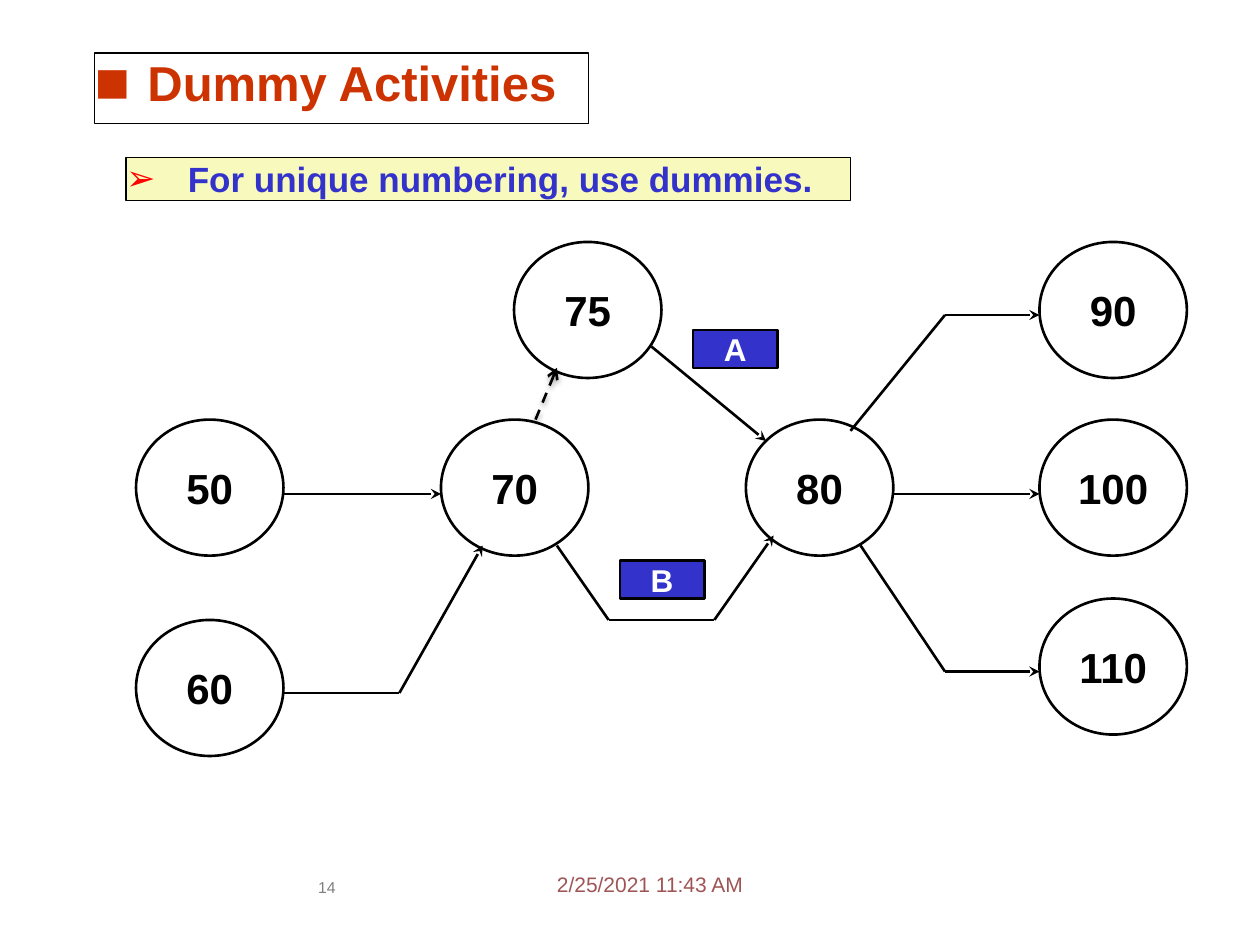
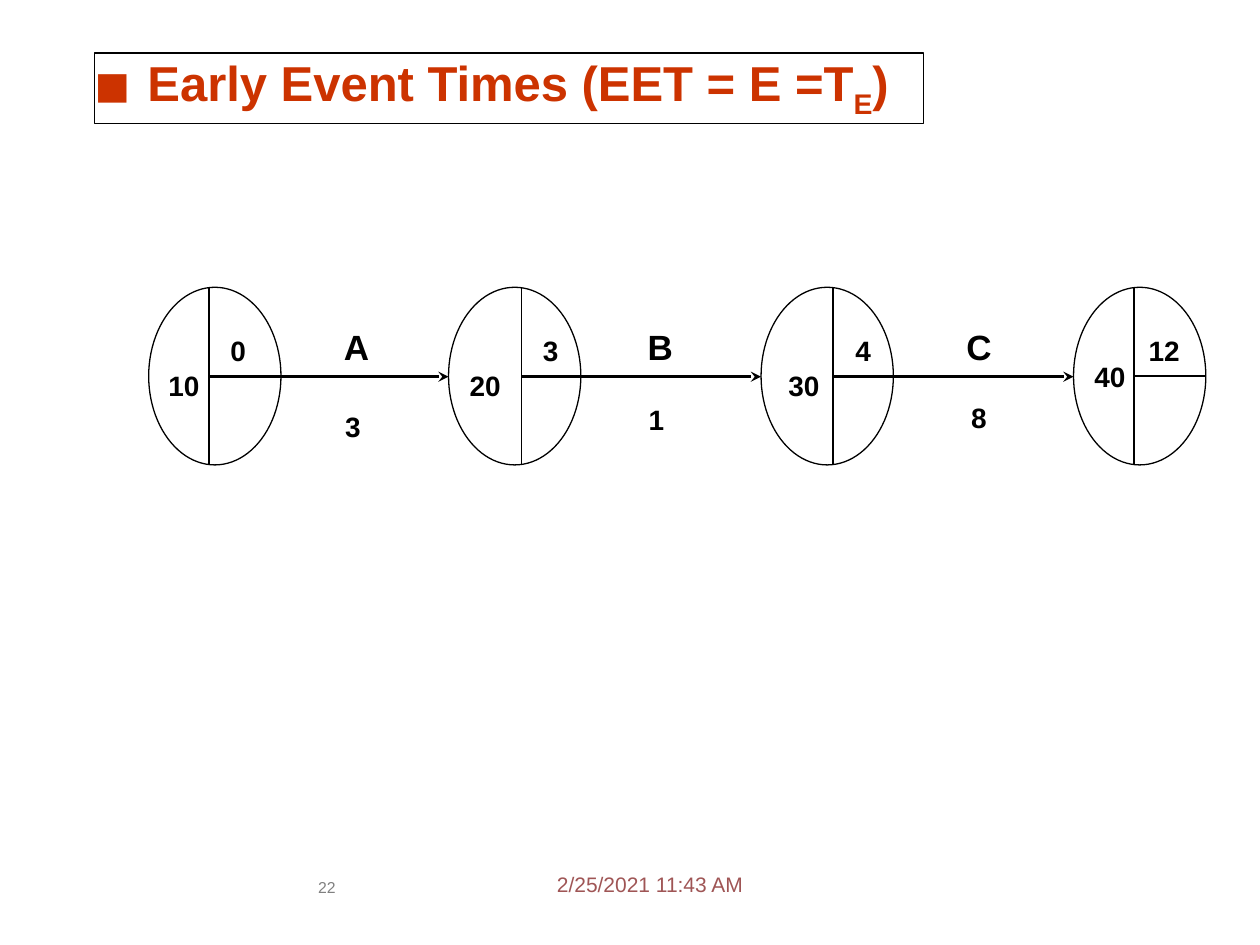
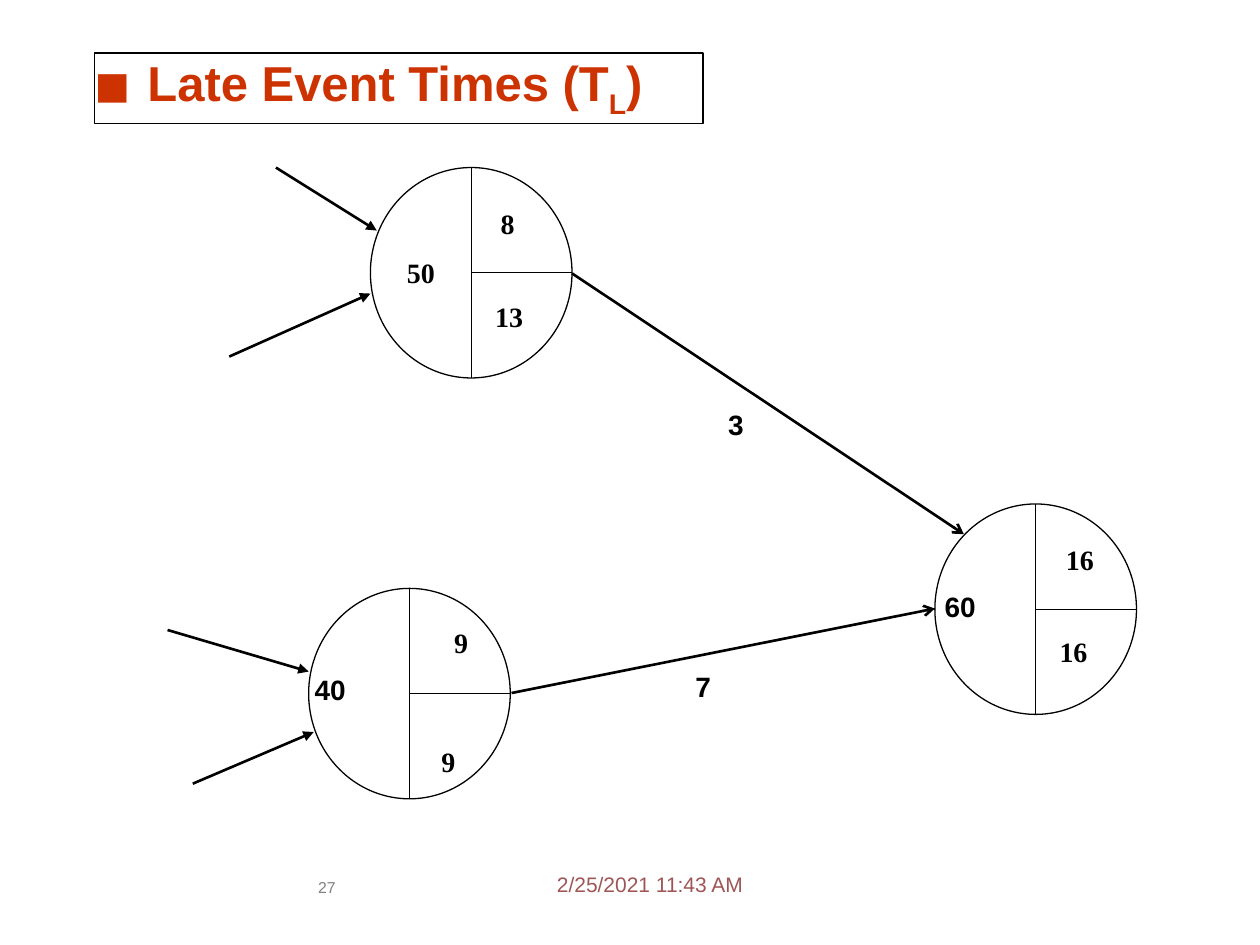
from dataclasses import dataclass
from itertools import pairwise

from lxml import etree
from pptx import Presentation
from pptx.dml.color import RGBColor
from pptx.enum import dml, shapes, text
from pptx.oxml import ns
from pptx.util import Inches, Pt

BLACK = RGBColor(0x00, 0x00, 0x00)
WHITE = RGBColor(0xFF, 0xFF, 0xFF)
RUST = RGBColor(0xCC, 0x33, 0x00)
BLUE = RGBColor(0x33, 0x33, 0xCC)
RED = RGBColor(0xFF, 0x00, 0x00)
CREAM = RGBColor(0xF8, 0xF9, 0xBD)
ROSE = RGBColor(0x9F, 0x55, 0x55)
GREY = RGBColor(0x80, 0x80, 0x80)
SANS, SERIF = "Arial", "Times New Roman"
STAMP = "2/25/2021 11:43 AM"
Point = tuple[float, float]


@dataclass
class Box:
    left: float
    top: float
    width: float
    height: float

    def emu(self) -> list[int]:
        return [Inches(v) for v in (self.left, self.top, self.width, self.height)]


@dataclass
class Label:
    """Bold text centred on a point."""
    x: float
    y: float
    text: str
    size: int = 16
    face: str = SANS


@dataclass
class Event:
    """Oval split by an upright bar and a line to its right edge."""
    box: Box
    bar: float
    weight: float


@dataclass
class Route:
    """Chain of lines whose last one may carry an arrowhead."""
    points: list[Point]
    head: str = "stealth"
    weight: float = 1.5
    dashed: bool = False


def child(parent, tag: str, **attrs: str):
    node = etree.SubElement(parent, ns.qn(tag))
    for name, value in attrs.items():
        node.set(name, value)
    return node


def style(para, size: int, color: RGBColor, bold: bool = True, face: str = SANS) -> None:
    font = para.font
    font.size, font.bold, font.name = Pt(size), bold, face
    font.color.rgb = color


def trim(frame, anchor=text.MSO_ANCHOR.TOP, wrap: bool = True) -> None:
    """Drop margins and fitting from a text frame."""
    frame.margin_left = frame.margin_right = frame.margin_top = frame.margin_bottom = 0
    frame.auto_size = text.MSO_AUTO_SIZE.NONE
    frame.vertical_anchor, frame.word_wrap = anchor, wrap


def paint(shape, fill: RGBColor, weight: float) -> None:
    shape.fill.solid()
    shape.fill.fore_color.rgb = fill
    shape.line.color.rgb = BLACK
    shape.line.width = Pt(weight)


def bullet(para, char: str, color: RGBColor, indent: float, scale: int = 100) -> None:
    para.space_before = Pt(0)
    para.alignment = text.PP_ALIGN.LEFT
    props = para._p.get_or_add_pPr()
    props.set("marL", str(Inches(indent)))
    props.set("indent", str(-Inches(indent)))
    child(child(props, "a:buClr"), "a:srgbClr", val=str(color))
    child(props, "a:buSzPct", val=str(scale * 1000))
    child(props, "a:buFont", typeface=SANS)
    child(props, "a:buChar", char=char)


def hold(shape, box: Box, fill: RGBColor):
    """Place and frame a placeholder, returning its paragraph."""
    shape.left, shape.top, shape.width, shape.height = box.emu()
    paint(shape, fill, 0.75)
    trim(shape.text_frame)
    return shape.text_frame.paragraphs[0]


def note(slide, box: Box, words: str, size: int, color: RGBColor, align) -> None:
    frame = slide.shapes.add_textbox(*box.emu()).text_frame
    trim(frame)
    para = frame.paragraphs[0]
    para.text, para.alignment = words, align
    style(para, size, color, bold=False)


def start(deck, layout: int, number: int, width: float, *parts: str):
    """Add a slide with heading and footers; every second part is a subscript."""
    slide = deck.slides.add_slide(deck.slide_layouts[layout])
    para = hold(slide.shapes.title, Box(0.75, 0.42, width, 0.56), WHITE)
    bullet(para, "■", RUST, 0.42, 120)
    style(para, 28, RUST)
    for i, part in enumerate(parts):
        run = para.add_run()
        run.text = part
        if i % 2:
            run._r.get_or_add_rPr().set("baseline", "-25000")
    note(slide, Box(4.42, 6.92, 1.67, 0.25), STAMP, 12, ROSE, text.PP_ALIGN.LEFT)
    note(slide, Box(2.4, 6.97, 0.39, 0.34), str(number), 9, GREY, text.PP_ALIGN.CENTER)
    return slide


def block(slide, kind, box: Box, words: str = "", size: int = 24, fill: RGBColor = WHITE,
          ink: RGBColor = BLACK, weight: float = 1.5) -> None:
    shape = slide.shapes.add_shape(kind, *box.emu())
    shape.shadow.inherit = False
    paint(shape, fill, weight)
    trim(shape.text_frame, text.MSO_ANCHOR.MIDDLE, wrap=False)
    if words:
        para = shape.text_frame.paragraphs[0]
        para.text, para.alignment = words, text.PP_ALIGN.CENTER
        style(para, size, ink)


def write(slide, label: Label) -> None:
    box = Box(label.x - 0.25, label.y - 0.17, 0.5, 0.34)
    frame = slide.shapes.add_textbox(*box.emu()).text_frame
    trim(frame, text.MSO_ANCHOR.MIDDLE, wrap=False)
    para = frame.paragraphs[0]
    para.text, para.alignment = label.text, text.PP_ALIGN.CENTER
    style(para, label.size, BLACK, face=label.face)


def draw(slide, route: Route) -> None:
    pairs = list(pairwise(route.points))
    for i, (begin, end) in enumerate(pairs):
        line = slide.shapes.add_connector(
            shapes.MSO_CONNECTOR.STRAIGHT, *[Inches(v) for v in begin + end])
        line.line.color.rgb = BLACK
        line.line.width = Pt(route.weight)
        if route.dashed:
            line.line.dash_style = dml.MSO_LINE.DASH
        if route.head and i == len(pairs) - 1:
            child(line.line._get_or_add_ln(), "a:tailEnd", type=route.head)
        effects = child(line._element.spPr, "a:effectLst")
        if route.dashed:
            cast = child(effects, "a:outerShdw", blurRad=str(Pt(3.1)), dist=str(Pt(1.8)),
                         dir="5400000", rotWithShape="0")
            child(child(cast, "a:srgbClr", val="000000"), "a:alpha", val="35000")


def split(slide, event: Event) -> None:
    box, bar = event.box, event.bar
    block(slide, shapes.MSO_SHAPE.OVAL, box, weight=0.75)
    mid = box.top + box.height / 2
    draw(slide, Route([(bar, box.top), (bar, box.top + box.height)], "", event.weight))
    draw(slide, Route([(bar, mid), (box.left + box.width, mid)], "", event.weight))


def dummy(deck) -> None:
    slide = start(deck, 1, 14, 3.92, "Dummy Activities")
    para = hold(slide.placeholders[1], Box(1, 1.25, 5.75, 0.34), CREAM)
    para.text = "For unique numbering, use dummies."
    bullet(para, "➢", RED, 0.49)
    style(para, 20, BLUE)

    nodes = [(8.25, 1.92, "90"), (8.25, 3.33, "100"), (8.25, 4.75, "110"),
             (1.08, 3.33, "50"), (3.5, 3.33, "70"), (1.08, 4.92, "60"),
             (5.92, 3.33, "80"), (4.08, 1.92, "75")]
    for left, top, name in nodes:
        block(slide, shapes.MSO_SHAPE.OVAL, Box(left, top, 1.17, 1.08), name)
    routes = [
        Route([(2.25, 3.92), (3.5, 3.92)]),
        Route([(2.25, 5.5), (3.17, 5.5), (3.83, 4.33)]),
        Route([(4.25, 3.33), (4.42, 2.92)], "arrow", dashed=True),
        Route([(5.17, 2.75), (6.08, 3.5)]),
        Route([(4.42, 4.33), (4.83, 4.92), (5.67, 4.92), (6.14, 4.25)]),
        Route([(6.75, 3.42), (7.5, 2.5), (8.25, 2.5)]),
        Route([(7.08, 3.92), (8.25, 3.92)]),
        Route([(6.83, 4.33), (7.5, 5.33), (8.25, 5.33)]),
    ]
    for route in routes:
        draw(slide, route)
    for left, top, name in [(5.5, 2.62, "A"), (4.92, 4.45, "B")]:
        block(slide, shapes.MSO_SHAPE.RECTANGLE, Box(left, top, 0.67, 0.3), name, 18, BLUE, WHITE)


def early(deck) -> None:
    slide = start(deck, 5, 22, 6.58, "Early Event Times (EET = E =T", "E", ")")
    lefts, bars = [1.18, 3.56, 6.04, 8.52], [1.66, 4.14, 6.61, 9]
    for left, bar in zip(lefts, bars):
        split(slide, Event(Box(left, 2.28, 1.05, 1.41), bar, 1))
    for bar, left in zip(bars, lefts[1:]):
        draw(slide, Route([(bar, 2.99), (left, 2.99)]))
    labels = [
        Label(1.46, 3.06, "10"), Label(3.85, 3.06, "20"),
        Label(6.38, 3.06, "30"), Label(8.81, 2.99, "40"),
        Label(1.89, 2.78, "0"), Label(4.37, 2.78, "3"),
        Label(6.85, 2.78, "4"), Label(9.24, 2.78, "12"),
        Label(2.83, 2.75, "A", 20), Label(5.24, 2.75, "B", 20), Label(7.77, 2.75, "C", 20),
        Label(2.8, 3.38, "3"), Label(5.21, 3.33, "1"), Label(7.77, 3.31, "8"),
    ]
    for label in labels:
        write(slide, label)


def late(deck) -> None:
    slide = start(deck, 5, 27, 4.83, "Late Event Times (T", "L", ")")
    for left, top in [(2.94, 1.33), (7.42, 4), (2.45, 4.67)]:
        split(slide, Event(Box(left, top, 1.6, 1.67), left + 0.8, 0.75))
    routes = [
        Route([(2.19, 1.33), (2.99, 1.83)], "triangle"),
        Route([(1.82, 2.83), (2.94, 2.33)], "triangle"),
        Route([(1.33, 5), (2.45, 5.33)], "triangle"),
        Route([(1.53, 6.22), (2.49, 5.81)], "triangle"),
        Route([(4.54, 2.17), (7.65, 4.24)], "arrow"),
        Route([(4.06, 5.5), (7.42, 4.83)], "arrow"),
    ]
    for route in routes:
        draw(slide, route)
    times = [(3.34, 2.16, "50"), (4.03, 1.77, "8"), (4.04, 2.51, "13"),
             (8.57, 4.44, "16"), (8.52, 5.17, "16"), (3.66, 5.1, "9"), (3.56, 6.04, "9")]
    for x, y, name in times:
        write(slide, Label(x, y, name, face=SERIF))
    for x, y, name in [(5.84, 3.37, "3"), (5.58, 5.45, "7"), (2.62, 5.47, "40"), (7.62, 4.81, "60")]:
        write(slide, Label(x, y, name))


def main() -> None:
    deck = Presentation()
    deck.slide_width, deck.slide_height = Inches(10), Inches(7.5)
    for build in (dummy, early, late):
        build(deck)
    deck.save("out.pptx")


if __name__ == "__main__":
    main()
